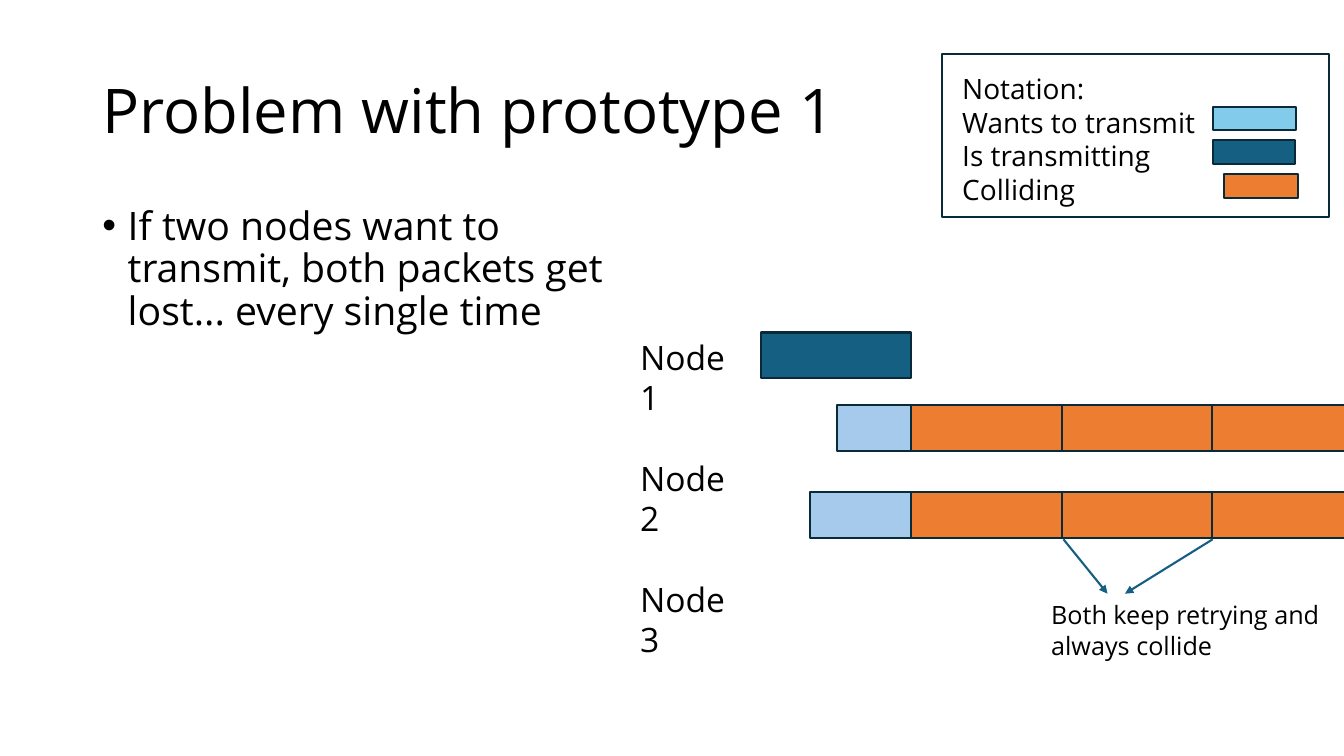
from dataclasses import dataclass

from lxml import etree
from pptx import Presentation
from pptx.dml.color import RGBColor
from pptx.enum.shapes import MSO_CONNECTOR, MSO_SHAPE
from pptx.enum.text import MSO_ANCHOR, PP_ALIGN
from pptx.oxml.ns import qn
from pptx.util import Cm, Pt

RECT = MSO_SHAPE.RECTANGLE
STRAIGHT = MSO_CONNECTOR.STRAIGHT
TOP, MIDDLE = MSO_ANCHOR.TOP, MSO_ANCHOR.MIDDLE
LEFT = PP_ALIGN.LEFT


@dataclass(frozen=True)
class Theme:
    font: str = "Open Sans"
    text: str = "000000"
    outline: str = "092A39"
    sending: str = "156082"
    waiting: str = "A6CAEC"
    waiting_key: str = "83CBEB"
    colliding: str = "ED7D31"
    line_width: float = 1.5
    title: int = 44
    body: int = 28
    label: int = 24
    legend: int = 20
    caption: int = 18


def write(tf, text, size, theme, anchor=TOP, spacing=None, before=0, after=0, bullet=None):
    """Fill a text frame, one paragraph per line of text."""
    tf.word_wrap = True
    tf.vertical_anchor = anchor
    for i, line in enumerate(text.split("\n")):
        p = tf.paragraphs[0] if i == 0 else tf.add_paragraph()
        p.alignment = LEFT
        p.line_spacing = spacing
        p.space_before, p.space_after = Pt(before), Pt(after)
        if bullet:
            pPr = p._p.get_or_add_pPr()
            pPr.set("marL", str(Cm(0.64)))
            pPr.set("indent", str(-Cm(0.64)))
            etree.SubElement(pPr, qn("a:buFont"), typeface="Arial")
            etree.SubElement(pPr, qn("a:buChar"), char=bullet)
        r = p.add_run()
        r.text = line
        r.font.name = theme.font
        r.font.size = Pt(size)
        r.font.color.rgb = RGBColor.from_string(theme.text)


class SlideBuilder:
    def __init__(self, slide, theme):
        self.slide, self.theme = slide, theme

    def title(self, text, x, y, w, h):
        sp = self.slide.shapes.title
        sp.left, sp.top, sp.width, sp.height = Cm(x), Cm(y), Cm(w), Cm(h)
        write(sp.text_frame, text, self.theme.title, self.theme, anchor=MIDDLE, spacing=0.9)

    def text(self, text, x, y, w, h, size, **fmt):
        sp = self.slide.shapes.add_textbox(Cm(x), Cm(y), Cm(w), Cm(h))
        write(sp.text_frame, text, size, self.theme, **fmt)

    def box(self, x, y, w, h, fill=None):
        sp = self.slide.shapes.add_shape(RECT, Cm(x), Cm(y), Cm(w), Cm(h))
        sp.shadow.inherit = False
        if fill:
            sp.fill.solid()
            sp.fill.fore_color.rgb = RGBColor.from_string(fill)
        else:
            sp.fill.background()
        sp.line.color.rgb = RGBColor.from_string(self.theme.outline)
        sp.line.width = Pt(self.theme.line_width)

    def arrow(self, x1, y1, x2, y2):
        cxn = self.slide.shapes.add_connector(STRAIGHT, Cm(x1), Cm(y1), Cm(x2), Cm(y2))
        cxn.line.color.rgb = RGBColor.from_string(self.theme.sending)
        cxn.line.width = Pt(self.theme.line_width)
        etree.SubElement(cxn.line._get_or_add_ln(), qn("a:tailEnd"), type="triangle")
        etree.SubElement(cxn._element.spPr, qn("a:effectLst"))


def draw_legend(s):
    t = s.theme
    s.text("Notation:\nWants to transmit\nIs transmitting\nColliding",
           24, 1.68, 6.53, 4.52, t.legend)
    s.box(30.58, 2.69, 2.08, 0.59, t.waiting_key)
    s.box(30.56, 3.53, 2.08, 0.61, t.sending)
    s.box(30.84, 4.39, 1.88, 0.59, t.colliding)
    s.box(23.75, 1.37, 9.75, 4.09)


def draw_timeline(s):
    t = s.theme
    packet, height, slots = 3.79, 1.15, 3
    first_slot = 22.97
    s.text("Node 1\nNode 2\nNode 3", 15.88, 8.36, 3.28, 5.38, t.label, after=28.8)
    s.box(first_slot - packet, 8.38, packet, height, t.sending)
    for y, wait in ((10.21, 1.88), (12.4, 2.55)):
        s.box(first_slot - wait, y, wait, height, t.waiting)
        for slot in range(slots):
            s.box(first_slot + slot * packet, y, packet, height, t.colliding)
    s.text("Both keep retrying and always collide", 26.24, 14.99, 7.62, 1.8, t.caption)
    s.arrow(26.8, 13.59, 27.91, 14.96)
    s.arrow(30.56, 13.59, 28.35, 14.96)


def main():
    prs = Presentation()
    prs.slide_width, prs.slide_height = Cm(33.87), Cm(19.05)
    s = SlideBuilder(prs.slides.add_slide(prs.slide_layouts[5]), Theme())
    s.title("Problem with prototype 1", 2.33, 1.02, 29.21, 3.68)
    s.text("If two nodes want to transmit, both packets get lost... every single time",
           2.33, 5.08, 13.18, 12.09, s.theme.body, spacing=0.9, before=10, bullet="•")
    draw_legend(s)
    draw_timeline(s)
    prs.save("out.pptx")


if __name__ == "__main__":
    main()
